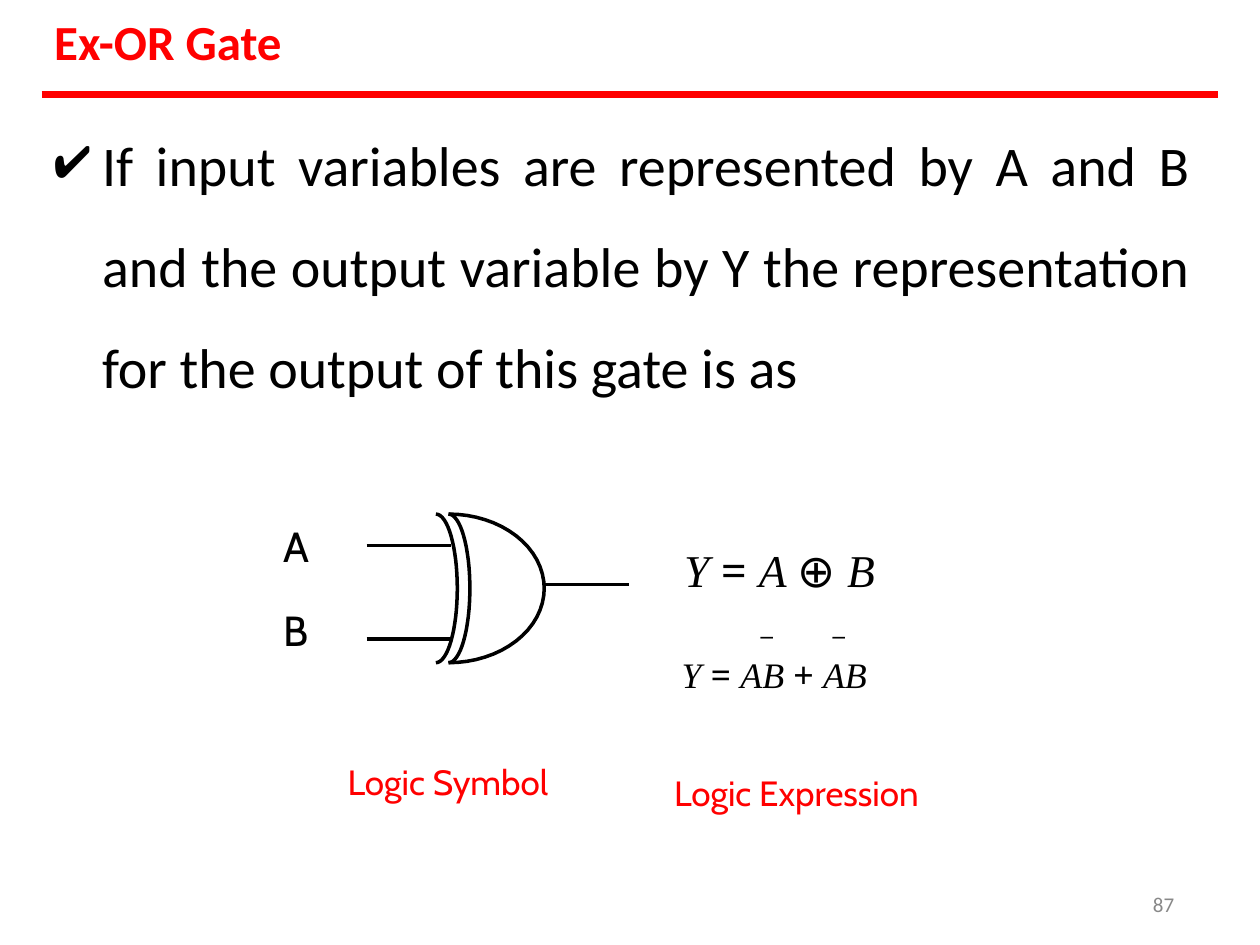
import math
from dataclasses import dataclass

from lxml import etree
from pptx import Presentation
from pptx import util as u
from pptx.dml.color import RGBColor
from pptx.enum import shapes, text
from pptx.oxml.ns import qn

PX = 9144  # 100 px to the inch
RED = RGBColor(0xFF, 0x00, 0x00)
BLACK = RGBColor(0x00, 0x00, 0x00)
GREY = RGBColor(0x88, 0x88, 0x88)
CAL, CAB = "Calibri", "Cabin"
SANS, TIMES = "Noto Sans", "Times New Roman"


@dataclass
class Run:
    text: str
    size: float
    font: str
    color: RGBColor = BLACK
    bold: bool = False
    italic: bool = False


@dataclass
class Para:
    runs: list[Run]
    left: int = 1
    first: int = 0
    space: float = 1.0
    before: float = 0
    align: text.PP_ALIGN = text.PP_ALIGN.LEFT
    bullet: str = ""


@dataclass
class Box:
    x: int
    y: int
    w: int
    h: int
    paras: list[Para]
    top: int = 1


@dataclass
class Line:
    x1: int
    x2: int
    y: int
    color: RGBColor = BLACK
    width: int = 2


@dataclass
class Arc:
    """Right half of an ellipse."""
    x: int
    y: int
    rx: int
    ry: int


def fill(frame, box: Box) -> None:
    frame.word_wrap = True
    frame.vertical_anchor = text.MSO_ANCHOR.TOP
    frame.margin_left = frame.margin_right = frame.margin_bottom = 0
    frame.margin_top = box.top * PX
    for i, item in enumerate(box.paras):
        para = frame.add_paragraph() if i else frame.paragraphs[0]
        para.alignment = item.align
        para.line_spacing = item.space
        para.space_before = u.Pt(item.before)
        props = para._p.get_or_add_pPr()
        props.set("marL", str(item.left * PX))
        props.set("indent", str(item.first * PX))
        if item.bullet:
            etree.SubElement(props, qn("a:buChar"), char=item.bullet)
        for part in item.runs:
            run = para.add_run()
            run.text = part.text
            run.font.size = u.Pt(part.size)
            run.font.name = part.font
            run.font.bold = part.bold
            run.font.italic = part.italic
            run.font.color.rgb = part.color


def add_box(slide, box: Box) -> None:
    shape = slide.shapes.add_textbox(
        box.x * PX, box.y * PX, box.w * PX, box.h * PX)
    fill(shape.text_frame, box)


def add_line(slide, line: Line) -> None:
    wire = slide.shapes.add_connector(
        shapes.MSO_CONNECTOR.STRAIGHT,
        line.x1 * PX, line.y * PX, line.x2 * PX, line.y * PX)
    wire.line.color.rgb = line.color
    wire.line.width = u.Pt(line.width)
    etree.SubElement(wire._element.spPr, qn("a:effectLst"))


def add_arc(slide, arc: Arc, steps: int = 32) -> None:
    turns = [math.pi * (i / steps - 0.5) for i in range(steps + 1)]
    points = [(round((arc.x + arc.rx * math.cos(t)) * PX),
               round((arc.y + arc.ry * math.sin(t)) * PX)) for t in turns]
    path = slide.shapes.build_freeform(*points[0])
    path.add_line_segments(points[1:], close=False)
    shape = path.convert_to_shape()
    shape.shadow.inherit = False
    shape.fill.background()
    shape.line.color.rgb = BLACK
    shape.line.width = u.Pt(2)


def math_runs(size: float, *parts: str) -> list[Run]:
    """Letters in italic serif, signs in upright sans."""
    return [Run(p, size, TIMES, italic=True) if p.strip().isalpha()
            else Run(p, size, SANS) for p in parts]


def bar(left: int) -> Para:
    """Negation bar above a letter."""
    return Para([Run("−", 11.5, SANS)], left, space=1.02)


TITLE = Box(42, 8, 190, 50, [Para([Run("Ex-OR Gate", 28, CAL, RED, bold=True)])])

BODY = ("If input variables are represented by A and B and the output variable "
        "by Y the representation for the output of this gate is as")

BOXES = [
    Box(42, 76, 903, 243, [Para([Run(BODY, 32, CAL)], 39, -38, 1.5,
                                align=text.PP_ALIGN.JUSTIFY, bullet="✔")]),
    # Gate inputs
    Box(224, 412, 30, 110, [Para([Run("A", 24, CAB)]),
                            Para([Run("B", 24, CAB)], before=19.2)]),
    # Expressions
    Box(542, 429, 200, 46, [Para(math_runs(26, "Y ", "= ", "A ", "⊕ ", "B"))]),
    Box(540, 493, 200, 51, [
        bar(62),
        Para(math_runs(20.5, "Y ", "= ", "AB ", "+ ", "AB"), space=1.1)], top=2),
    Box(659, 493, 20, 22, [bar(0)], top=2),
    # Captions
    Box(275, 603, 180, 36, [Para([Run("Logic Symbol", 20, CAB, RED)])]),
    Box(534, 611, 206, 36, [Para([Run("Logic Expression", 20, CAB, RED)])]),
    # Page number
    Box(912, 707, 31, 19, [Para([Run("87", 12, CAL, GREY)], 3, space=1.03)], top=0),
]

LINES = [
    Line(33, 967, 75, RED, 4),  # title rule
    Line(291, 358, 433),  # input A
    Line(291, 358, 507),  # input B
    Line(431, 499, 464),  # output
]

# Two back curves, then the front of the gate
ARCS = [Arc(346, 467, 17, 59), Arc(356, 467, 17, 59), Arc(356, 467, 76, 59)]


def main() -> None:
    deck = Presentation()
    deck.slide_width, deck.slide_height = u.Inches(10), u.Inches(7.5)
    slide = deck.slides.add_slide(deck.slide_layouts[5])

    title = slide.shapes.title
    title.left, title.top = TITLE.x * PX, TITLE.y * PX
    title.width, title.height = TITLE.w * PX, TITLE.h * PX
    fill(title.text_frame, TITLE)

    for line in LINES:
        add_line(slide, line)
    for arc in ARCS:
        add_arc(slide, arc)
    for box in BOXES:
        add_box(slide, box)
    deck.save("out.pptx")


if __name__ == "__main__":
    main()
